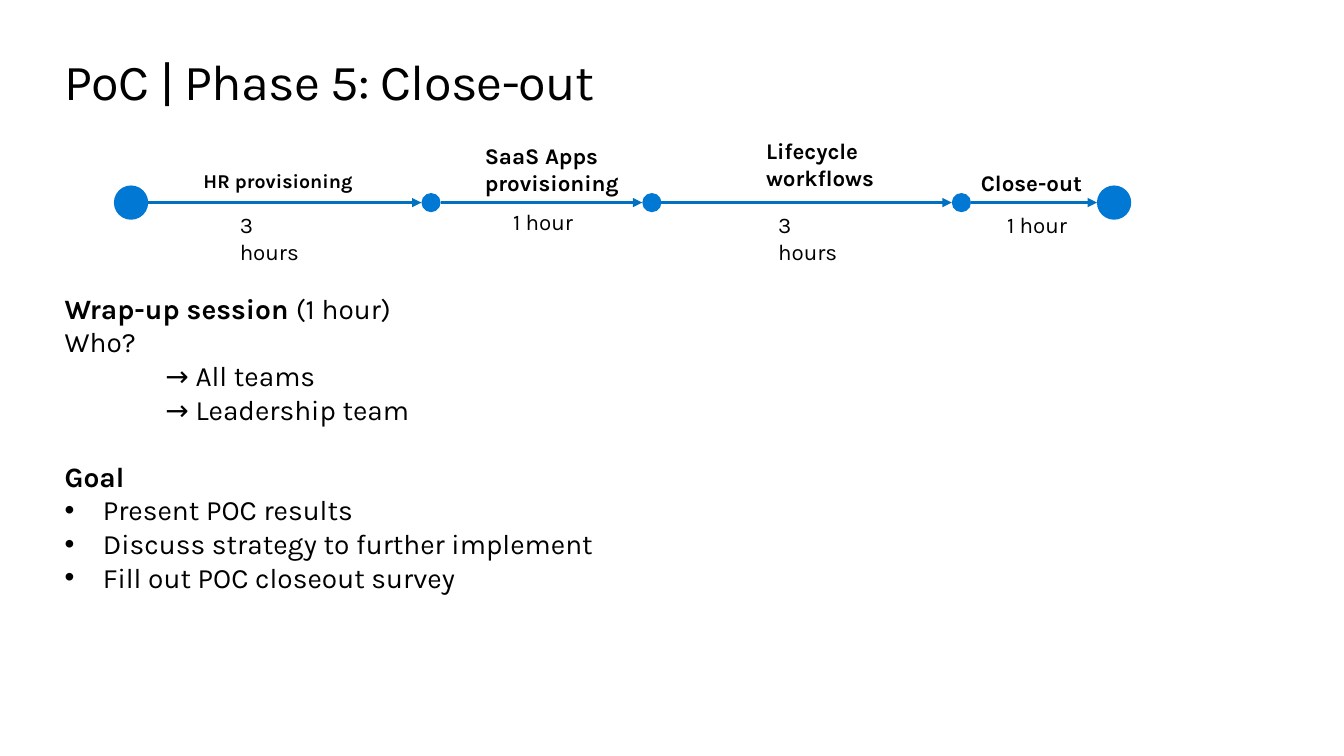
import pptx
import pptx.util
import pptx.dml.color
import pptx.enum.shapes
import pptx.oxml
import pptx.oxml.ns
from pptx.util import Inches

COLORS = {"text": "000000", "dot": "0078D4", "arrow": "0070C0"}
FONT = "Karla"

# Dots on the timeline: left edge and diameter
DOTS = [(1.13, 0.34), (4.18, 0.19), (6.37, 0.19), (9.44, 0.19), (10.88, 0.34)]

# Steps: name, size, name box; duration, duration box left and top
STEPS = [
    ("HR provisioning", 14, (1.92, 1.63, 2.1, 0.34), "3 hours", (2.28, 2.05)),
    ("SaaS Apps provisioning", 16, (4.71, 1.36, 1.74, 0.64), "1 hour", (4.99, 2.02)),
    ("Lifecycle workflows", 16, (7.5, 1.31, 1.74, 0.64), "3 hours", (7.62, 2.05)),
    ("Close-out", 16, (9.63, 1.63, 1.31, 0.37), "1 hour", (9.89, 2.05)),
]

# Session notes: runs (text, bold) and paragraph style
NOTES = [
    ([("Wrap-up session ", True), ("(1 hour)", False)], "plain"),
    ([("Who?", False)], "plain"),
    ([("→ All teams", False)], "indented"),
    ([("→ Leadership team", False)], "indented"),
    ([("Goal", True)], "section"),
    ([("Present POC results", False)], "bullet"),
    ([("Discuss strategy to further implement", False)], "bullet"),
    ([("Fill out POC closeout survey", False)], "bullet"),
]


def rgb(name):
    return pptx.dml.color.RGBColor.from_string(COLORS[name])


def add_sub_element(parent, tag, **attributes):
    element = pptx.oxml.parse_xml(f"<{tag} {pptx.oxml.ns.nsdecls('a')}/>")
    for key, value in attributes.items():
        element.set(key, value)
    parent.append(element)


def add_text_frame(slide, box, margins=True):
    frame = slide.shapes.add_textbox(*map(Inches, box)).text_frame
    frame.word_wrap = True
    if not margins:
        frame.margin_left = frame.margin_right = 0
        frame.margin_top = frame.margin_bottom = 0
    return frame


def add_run(paragraph, text, size, bold=False):
    run = paragraph.add_run()
    run.text = text
    run.font.name = FONT
    run.font.size = pptx.util.Pt(size)
    run.font.bold = bold
    run.font.color.rgb = rgb("text")
    return run


def add_title(slide, box):
    frame = add_text_frame(slide, box, margins=False)
    run = add_run(frame.paragraphs[0], "PoC | Phase 5: Close-out", 36)
    run.font._element.set("spc", "-50")


def add_arrow(slide, start, end, y):
    arrow = slide.shapes.add_connector(
        pptx.enum.shapes.MSO_CONNECTOR.STRAIGHT,
        Inches(start), Inches(y), Inches(end), Inches(y))
    arrow.line.color.rgb = rgb("arrow")
    arrow.line.width = pptx.util.Pt(2.25)
    add_sub_element(arrow.line._get_or_add_ln(), "a:tailEnd", type="triangle")
    add_sub_element(arrow._element.spPr, "a:effectLst")


def add_timeline(slide, axis):
    # Arrows run from the right of one dot to the left of the next
    for (left, diameter), (next_left, _) in zip(DOTS, DOTS[1:]):
        add_arrow(slide, left + diameter, next_left, axis)

    # Dots centred on the axis
    for left, diameter in DOTS:
        dot = slide.shapes.add_shape(
            pptx.enum.shapes.MSO_SHAPE.OVAL, Inches(left),
            Inches(axis - diameter / 2), Inches(diameter), Inches(diameter))
        dot.shadow.inherit = False
        dot.fill.solid()
        dot.fill.fore_color.rgb = rgb("dot")
        dot.line.fill.background()

    # Step names above, durations below
    for name, size, name_box, duration, corner in STEPS:
        name_frame = add_text_frame(slide, name_box)
        add_run(name_frame.paragraphs[0], name, size, bold=True)
        duration_frame = add_text_frame(slide, (*corner, 0.94, 0.37))
        add_run(duration_frame.paragraphs[0], duration, 16)


def add_notes(slide, box):
    frame = add_text_frame(slide, box, margins=False)
    for index, (runs, style) in enumerate(NOTES):
        paragraph = frame.add_paragraph() if index else frame.paragraphs[0]
        properties = paragraph._p.get_or_add_pPr()
        if style == "indented":
            properties.set("marL", str(Inches(1)))
        elif style == "section":
            paragraph.space_before = pptx.util.Pt(24)
        elif style == "bullet":
            properties.set("marL", str(Inches(0.38)))
            properties.set("indent", str(-Inches(0.38)))
            add_sub_element(properties, "a:buFont", typeface="Arial")
            add_sub_element(properties, "a:buChar", char="•")
        for text, bold in runs:
            add_run(paragraph, text, 20, bold)


def main():
    presentation = pptx.Presentation()
    presentation.slide_width = Inches(13.33)
    presentation.slide_height = Inches(7.5)
    slide = presentation.slides.add_slide(presentation.slide_layouts[6])
    add_title(slide, (0.64, 0.5, 12.05, 0.61))
    add_timeline(slide, 2.01)
    add_notes(slide, (0.64, 2.89, 11.09, 3.03))
    presentation.save("out.pptx")


if __name__ == "__main__":
    main()
